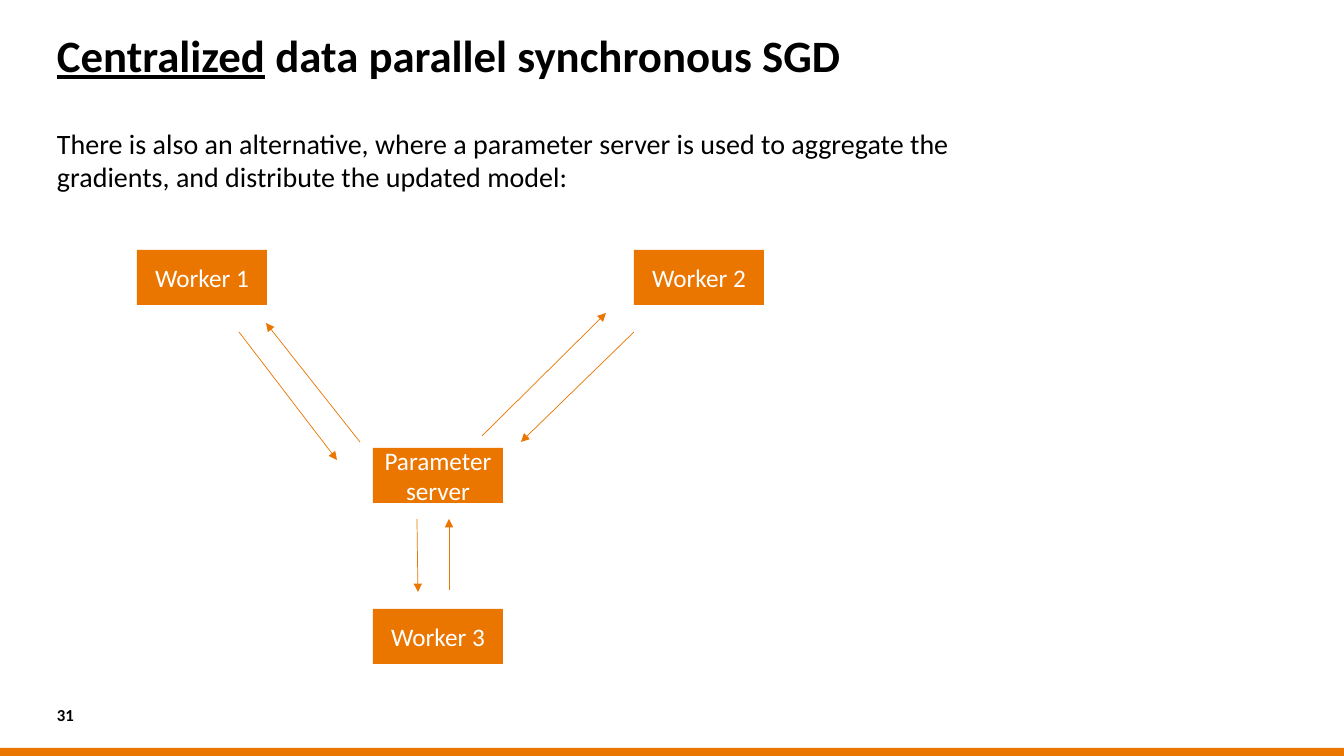
import pptx
import pptx.util
import pptx.dml.color
import pptx.enum.shapes
import pptx.enum.text
import pptx.oxml

ORANGE, BLACK, WHITE = "EA7600", "000000", "FFFFFF"
FONT = "Calibri"
TITLE = [("Centralized", True), (" data parallel synchronous SGD", False)]
BODY = ("There is also an alternative, where a parameter server is used to "
        "aggregate the gradients, and distribute the updated model:")
NUMBER = "31"
NODE_W, NODE_H = 130, 55
NODES = [
    ("Worker 1", 137, 250),
    ("Worker 2", 634, 250),
    ("Worker 3", 373, 609),
    ("Parameter server", 373, 448),
]
ARROWS = [
    (360, 442, 266, 323),
    (482, 436, 606, 313),
    (239, 332, 337, 460),
    (634, 332, 521, 442),
    (417, 519, 418, 592),
    (449, 590, 449, 519),
]

SCALE = 914400 / 100.8
ANCHOR = pptx.enum.text.MSO_ANCHOR
ALIGN = pptx.enum.text.PP_ALIGN
RECT = pptx.enum.shapes.MSO_SHAPE.RECTANGLE
STRAIGHT = pptx.enum.shapes.MSO_CONNECTOR.STRAIGHT


def px(*lengths):
    return [pptx.util.Emu(round(n * SCALE)) for n in lengths]


def rgb(value):
    return pptx.dml.color.RGBColor.from_string(value)


def add_xml(parent, tag, attrs=""):
    ns = "http://schemas.openxmlformats.org/drawingml/2006/main"
    parent.append(pptx.oxml.parse_xml(f'<a:{tag} xmlns:a="{ns}" {attrs}/>'))


def style(r, size, color=BLACK, bold=False):
    r.font.name = FONT
    r.font.size = pptx.util.Pt(size)
    r.font.bold = bold
    r.font.color.rgb = rgb(color)


def place(sp, x, y, w, h):
    sp.left, sp.top, sp.width, sp.height = px(x, y, w, h)


def frame(sp, anchor, top=0):
    tf = sp.text_frame
    tf.word_wrap = True
    tf.auto_size = pptx.enum.text.MSO_AUTO_SIZE.NONE
    tf.vertical_anchor = anchor
    tf.margin_left = tf.margin_right = tf.margin_bottom = 0
    tf.margin_top = px(top)[0]
    return tf


def add_box(s, x, y, w, h):
    sp = s.shapes.add_shape(RECT, *px(x, y, w, h))
    sp.shadow.inherit = False
    sp.fill.solid()
    sp.fill.fore_color.rgb = rgb(ORANGE)
    sp.line.fill.background()
    return sp


def add_title(s):
    sp = s.shapes.title
    place(sp, 57, 30, 1229, 67)
    p = frame(sp, ANCHOR.TOP, 8).paragraphs[0]
    p.alignment = ALIGN.LEFT
    p.line_spacing = 0.8
    for text, underline in TITLE:
        r = p.add_run()
        r.text = text
        style(r, 32, bold=True)
        r.font.underline = underline


def add_body(s):
    sp = s.placeholders[1]
    place(sp, 57, 126, 989, 519)
    tf = frame(sp, ANCHOR.TOP)
    tf.text = BODY
    p = tf.paragraphs[0]
    p.space_before = pptx.util.Pt(0)
    p.space_after = pptx.util.Pt(6)
    pPr = p._p.get_or_add_pPr()
    pPr.set("marL", "0")
    pPr.set("indent", "0")
    add_xml(pPr, "buNone")
    style(p.runs[0], 20)


def add_number(s):
    sp = s.shapes.add_textbox(*px(57, 703, 43, 24))
    tf = frame(sp, ANCHOR.MIDDLE)
    tf.text = NUMBER
    style(tf.paragraphs[0].runs[0], 12, bold=True)


def add_node(s, text, x, y):
    sp = add_box(s, x, y, NODE_W, NODE_H)
    tf = sp.text_frame
    tf.word_wrap = True
    tf.vertical_anchor = ANCHOR.MIDDLE
    tf.text = text
    p = tf.paragraphs[0]
    p.alignment = ALIGN.CENTER
    style(p.runs[0], 18, WHITE)


def add_arrow(s, ends):
    c = s.shapes.add_connector(STRAIGHT, *px(*ends))
    c.line.color.rgb = rgb(ORANGE)
    c.line.width = pptx.util.Pt(0.5)
    add_xml(c.line._get_or_add_ln(), "tailEnd", 'type="triangle"')
    add_xml(c._element.spPr, "effectLst")


def main():
    prs = pptx.Presentation()
    prs.slide_width, prs.slide_height = px(1344, 756)
    s = prs.slides.add_slide(prs.slide_layouts[1])
    add_box(s, 0, 748, 1344, 8)
    add_title(s)
    add_body(s)
    add_number(s)
    for node in NODES:
        add_node(s, *node)
    for ends in ARROWS:
        add_arrow(s, ends)
    prs.save("out.pptx")


if __name__ == "__main__":
    main()
